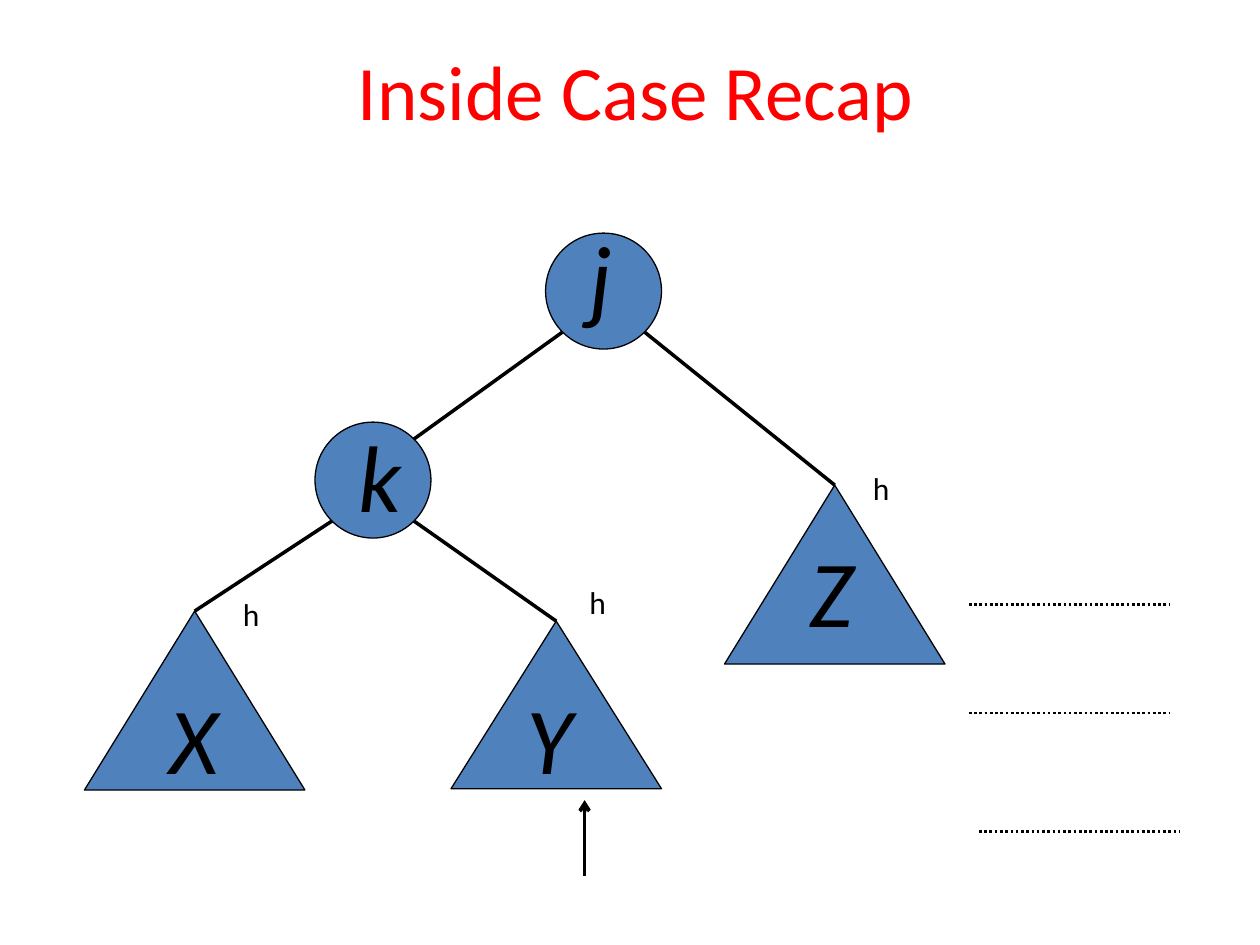
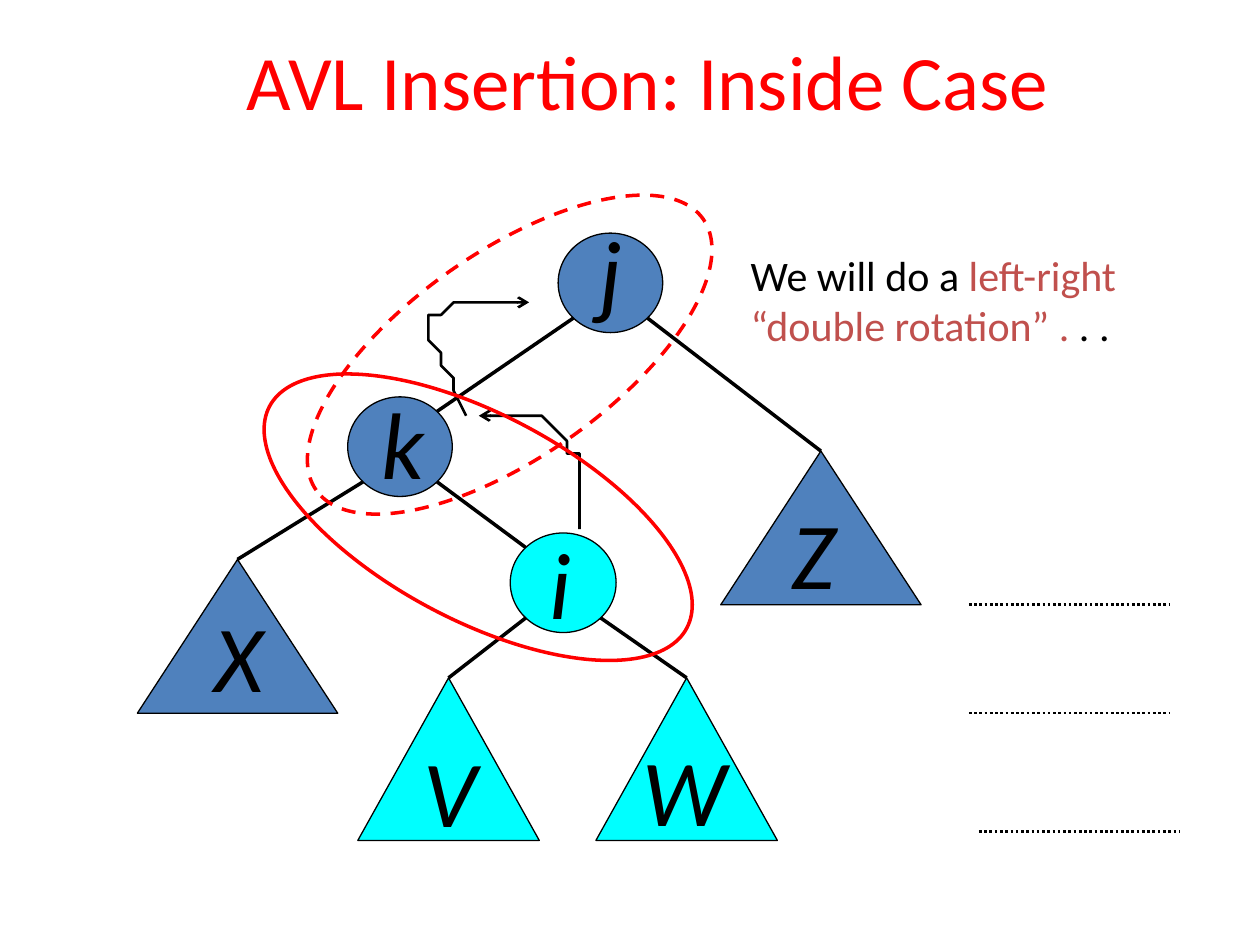
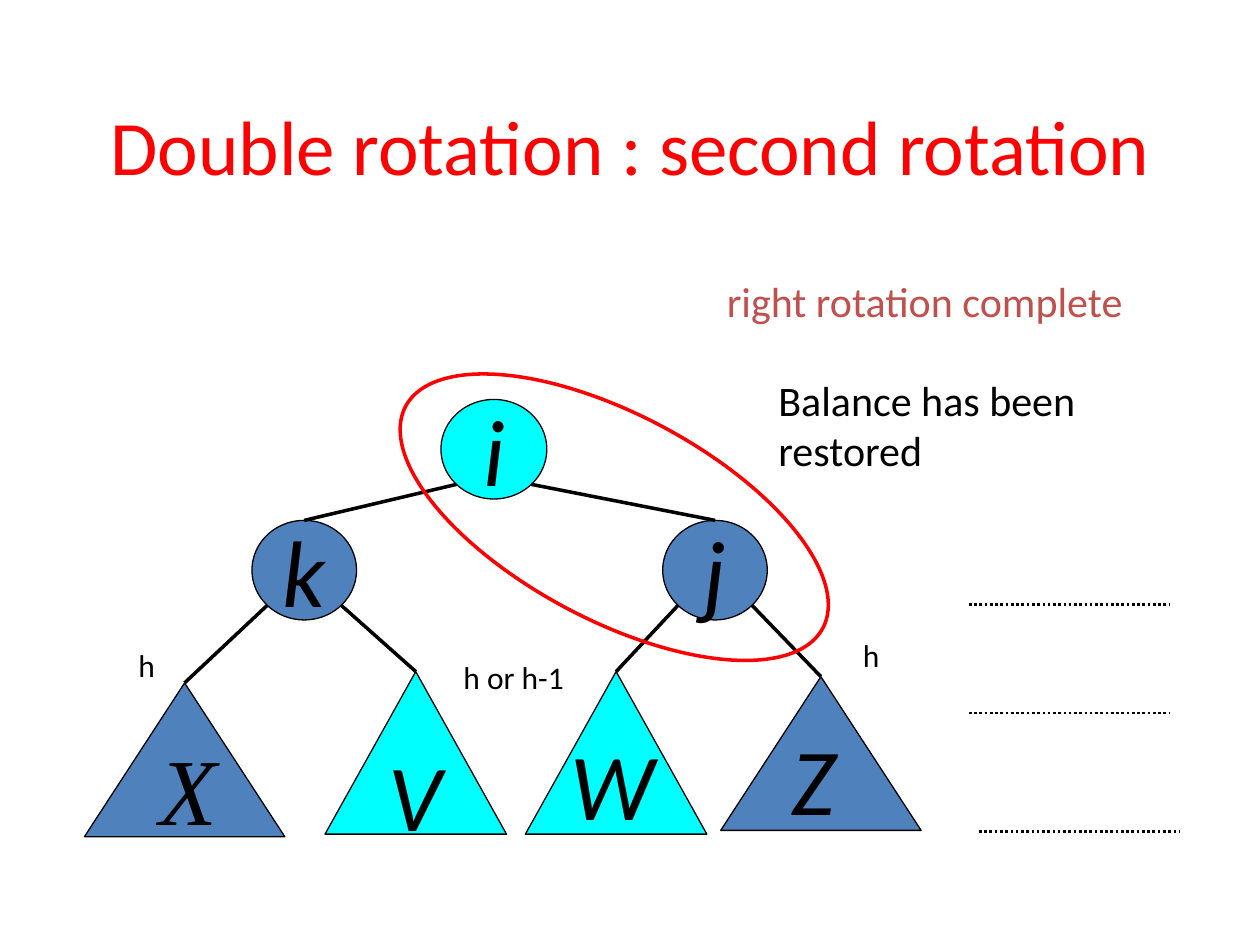
import math

import lxml.etree
import pptx
import pptx.dml.color
import pptx.enum.dml
import pptx.enum.shapes
import pptx.enum.text
import pptx.oxml.ns
import pptx.util

BLACK, RED, BRICK = "000000", "FF0000", "C0504D"
BLUE, CYAN = "4F81BD", "00FFFF"
rgb = pptx.dml.color.RGBColor.from_string
qn = pptx.oxml.ns.qn
Shape = pptx.enum.shapes.MSO_SHAPE
Dash = pptx.enum.dml.MSO_LINE
Align = pptx.enum.text.PP_ALIGN
Anchor = pptx.enum.text.MSO_ANCHOR
AutoSize = pptx.enum.text.MSO_AUTO_SIZE
STRAIGHT = pptx.enum.shapes.MSO_CONNECTOR.STRAIGHT

deck = pptx.Presentation()
deck.slide_width = pptx.util.Inches(10)
deck.slide_height = pptx.util.Inches(7.5)
# Square grid: 100 columns by 75 rows; all lengths below count its cells.
CELL = deck.slide_width // 100

# Outline, width, height and fill of each kind of tree part
KINDS = {
    "large node": (Shape.OVAL, 9.2, 9.2, BLUE),
    "large subtree": (Shape.ISOSCELES_TRIANGLE, 17.5, 14.2, BLUE),
    "grown subtree": (Shape.ISOSCELES_TRIANGLE, 16.7, 13.3, BLUE),
    "node": (Shape.OVAL, 8.3, 7.9, BLUE),
    "subtree": (Shape.ISOSCELES_TRIANGLE, 15.9, 12.2, BLUE),
    "inner node": (Shape.OVAL, 8.4, 7.9, CYAN),
    "inner subtree": (Shape.ISOSCELES_TRIANGLE, 14.4, 12.9, CYAN),
}
RING_SIZE = (37.5, 16.3)
LEVELS = [(76.9, 48), (76.9, 56.6), (77.7, 66)]
LEVEL_LENGTH = 15.9
CURVE_STEPS = 8

# parts: name -> kind, left, top, corner of its label (None: label inside)
# edges: parent and child; notes: left, top, width, height, size, paragraphs
# rings: left, top, rotation, dash
SLIDES = [
    {
        "title": "Inside Case Recap ", "title_at": (8.4, 2.7),
        "parts": {
            "j": ("large node", 43.3, 18.5, (45.8, 16.8)),
            "k": ("large node", 25, 33.5, (27.5, 32.7)),
            "X": ("large subtree", 6.7, 48.5, (12.5, 53.5)),
            "Y": ("grown subtree", 35.8, 49.3, (40.8, 53.5)),
            "Z": ("large subtree", 57.5, 38.5, (63.3, 41.8)),
        },
        "label_width": 5.6, "serif": "",
        "edges": ["jk", "jZ", "kX", "kY"], "edges_to_top": False,
        "notes": [
            (68.3, 36.7, 3.6, 4.3, 18, "h"),
            (45.8, 45.8, 3.6, 4.3, 18, "h"),
            (18.3, 46.7, 3.6, 4.3, 18, "h"),
        ],
        "pointers": [((46.4, 69.5), (46.4, 63.5))],
        "curves": [], "rings": [],
    },
    {
        "title": "AVL Insertion: Inside Case", "title_at": (8.7, 1.9),
        "parts": {
            "j": ("node", 44.3, 18.5, (46.6, 16.4)),
            "k": ("node", 27.6, 31.5, (29.3, 30.1)),
            "X": ("subtree", 10.9, 44.4, (16, 47)),
            "V": ("inner subtree", 28.4, 53.8, (32.6, 57.7)),
            "Z": ("subtree", 57.2, 35.8, (61.8, 38.8)),
            "W": ("inner subtree", 47.3, 53.8, (50, 57.6)),
            "i": ("inner node", 40.5, 42.3, (42.6, 41.2)),
        },
        "label_width": 5.1, "serif": "",
        "edges": ["jk", "jZ", "kX", "ki", "iV", "iW"], "edges_to_top": False,
        "notes": [
            (58.6, 19.3, 33.9, 9, 24, [
                [("We will do a ", BLACK), ("left-right", BRICK)],
                [("“double rotation” .", BRICK), (" . .", BLACK)],
            ]),
        ],
        "pointers": [],
        "curves": [
            [(46.2, 41.8), (46, 38.7), (45.9, 35.7), (44.5, 34.1),
             (43.2, 32.6), (40.7, 32.7), (38.2, 32.8)],
            [(37.1, 32.6), (35.3, 29.6), (33.5, 26.6), (34.4, 25.1),
             (35.3, 23.6), (38.9, 23.6), (42.4, 23.5)],
        ],
        "rings": [(19.2, 32.9, 28, None), (21.7, 20, 325, Dash.DASH)],
    },
    {
        "title": "Double rotation : second rotation", "title_at": (7.3, 7.1),
        "parts": {
            "j": ("node", 52.6, 41.3, None),
            "k": ("node", 20, 41.3, None),
            "X": ("subtree", 6.7, 54.2, (11.7, 57.5)),
            "V": ("inner subtree", 25.8, 53.3, None),
            "Z": ("subtree", 57.2, 53.7, (61.8, 56.7)),
            "W": ("inner subtree", 41.7, 53.3, (44.3, 57.1)),
            "i": ("inner node", 35, 31.7, None),
        },
        "label_width": 5.1, "serif": "X",
        "edges": ["ik", "ij", "kX", "kV", "jW", "jZ"], "edges_to_top": True,
        "notes": [
            (56.7, 21.4, 35, 5, 24, [[("right rotation complete", BRICK)]]),
            (60.8, 29.2, 29.7, 9, 24,
             [[("Balance has been", BLACK)], [("restored", BLACK)]]),
            (67.5, 50, 3.6, 4.3, 18, "h"),
            (10, 50.8, 3.6, 4.3, 18, "h"),
            (35.8, 51.7, 11.6, 4.3, 18, "h or h-1"),
        ],
        "pointers": [], "curves": [],
        "rings": [(30, 32.9, 28, None)],
    },
]


def write(frame, text, size, color=BLACK, font="Calibri", italic=False, wrap=False,
          align=Align.LEFT, anchor=Anchor.TOP, fit=AutoSize.SHAPE_TO_FIT_TEXT):
    """Fill a text frame with one string, or with paragraphs of (text, colour) runs."""
    frame.word_wrap = wrap
    frame.auto_size = fit
    frame.vertical_anchor = anchor
    paragraphs = [[(text, color)]] if isinstance(text, str) else text
    for index, runs in enumerate(paragraphs):
        paragraph = frame.add_paragraph() if index else frame.paragraphs[0]
        paragraph.alignment = align
        for words, run_color in runs:
            run = paragraph.add_run()
            run.text = words
            run.font.size = pptx.util.Pt(size)
            run.font.name = font
            run.font.italic = italic
            run.font.color.rgb = rgb(run_color)


def outline(shape, width, color=BLACK, dash=None, arrow=False):
    """Set the line of a filled shape or connector and switch off its shadow."""
    shape.line.width = pptx.util.Pt(width)
    shape.line.color.rgb = rgb(color)
    if dash:
        shape.line.dash_style = dash
    properties = shape.element.spPr
    if arrow:
        lxml.etree.SubElement(properties.find(qn("a:ln")), qn("a:tailEnd"), type="arrow")
    lxml.etree.SubElement(properties, qn("a:effectLst"))


for content in SLIDES:
    slide = deck.slides.add_slide(deck.slide_layouts[5])
    shapes = slide.shapes

    title = shapes.title
    title.left, title.top = [int(n * CELL) for n in content["title_at"]]
    title.width, title.height = int(85.5 * CELL), int(8.8 * CELL)
    write(title.text_frame, content["title"], 44, RED, wrap=True,
          align=Align.CENTER, anchor=Anchor.MIDDLE, fit=AutoSize.NONE)

    tree = {}
    for name, (kind, left, top, label_at) in content["parts"].items():
        form, width, height, fill = KINDS[kind]
        part = shapes.add_shape(form, *[int(n * CELL) for n in (left, top, width, height)])
        part.fill.solid()
        part.fill.fore_color.rgb = rgb(fill)
        outline(part, 0.75)
        tree[name] = part
        if label_at:
            label = shapes.add_textbox(
                *[int(n * CELL) for n in (*label_at, content["label_width"], 10)])
            font = "Times New Roman" if name in content["serif"] else "Calibri"
            write(label.text_frame, name, 54, font=font, italic=True, wrap=True)
        else:
            write(part.text_frame, name, 54, italic=True, align=Align.CENTER,
                  anchor=Anchor.MIDDLE, fit=AutoSize.NONE)

    for parent_name, child_name in content["edges"]:
        parent, child = tree[parent_name], tree[child_name]
        side = math.copysign(1, child.left + child.width / 2 - parent.left - parent.width / 2)
        # Diagonal points of the two ovals that face each other
        start_x = parent.left + parent.width / 2 * (1 + side * math.sqrt(0.5))
        start_y = parent.top + parent.height / 2 * (1 + math.sqrt(0.5))
        end_x = child.left + child.width / 2 * (1 - side * math.sqrt(0.5))
        end_y = child.top + child.height / 2 * (1 - math.sqrt(0.5))
        edge = shapes.add_connector(
            STRAIGHT, int(start_x), int(start_y), int(end_x), int(end_y))
        if content["edges_to_top"] or child.auto_shape_type != Shape.OVAL:
            edge.end_connect(child, 0)
        outline(edge, 2)

    for *box, size, text in content["notes"]:
        note = shapes.add_textbox(*[int(n * CELL) for n in box])
        write(note.text_frame, text, size)

    for start, end in content["pointers"]:
        pointer = shapes.add_connector(STRAIGHT, *[int(n * CELL) for n in (*start, *end)])
        outline(pointer, 2, arrow=True)

    for controls in content["curves"]:
        points = []
        for first in range(0, len(controls) - 1, 3):
            for step in range(1, CURVE_STEPS + 1):
                t = step / CURVE_STEPS
                weights = [math.comb(3, k) * t**k * (1 - t)**(3 - k) for k in range(4)]
                points.append([
                    sum(w * p[axis] for w, p in zip(weights, controls[first:first + 4]))
                    for axis in (0, 1)])
        builder = shapes.build_freeform(*controls[0], scale=CELL)
        builder.add_line_segments(points, close=False)
        rotation_arrow = builder.convert_to_shape()
        rotation_arrow.fill.background()
        outline(rotation_arrow, 1.5, arrow=True)

    for left, top, angle, dash in content["rings"]:
        ring = shapes.add_shape(Shape.OVAL, *[int(n * CELL) for n in (left, top, *RING_SIZE)])
        ring.rotation = angle
        ring.fill.background()
        outline(ring, 2, RED, dash)

    for left, top in LEVELS:
        level = shapes.add_connector(
            STRAIGHT, *[int(n * CELL) for n in (left, top, left + LEVEL_LENGTH, top)])
        outline(level, 1.5, dash=Dash.ROUND_DOT)

deck.save("out.pptx")
